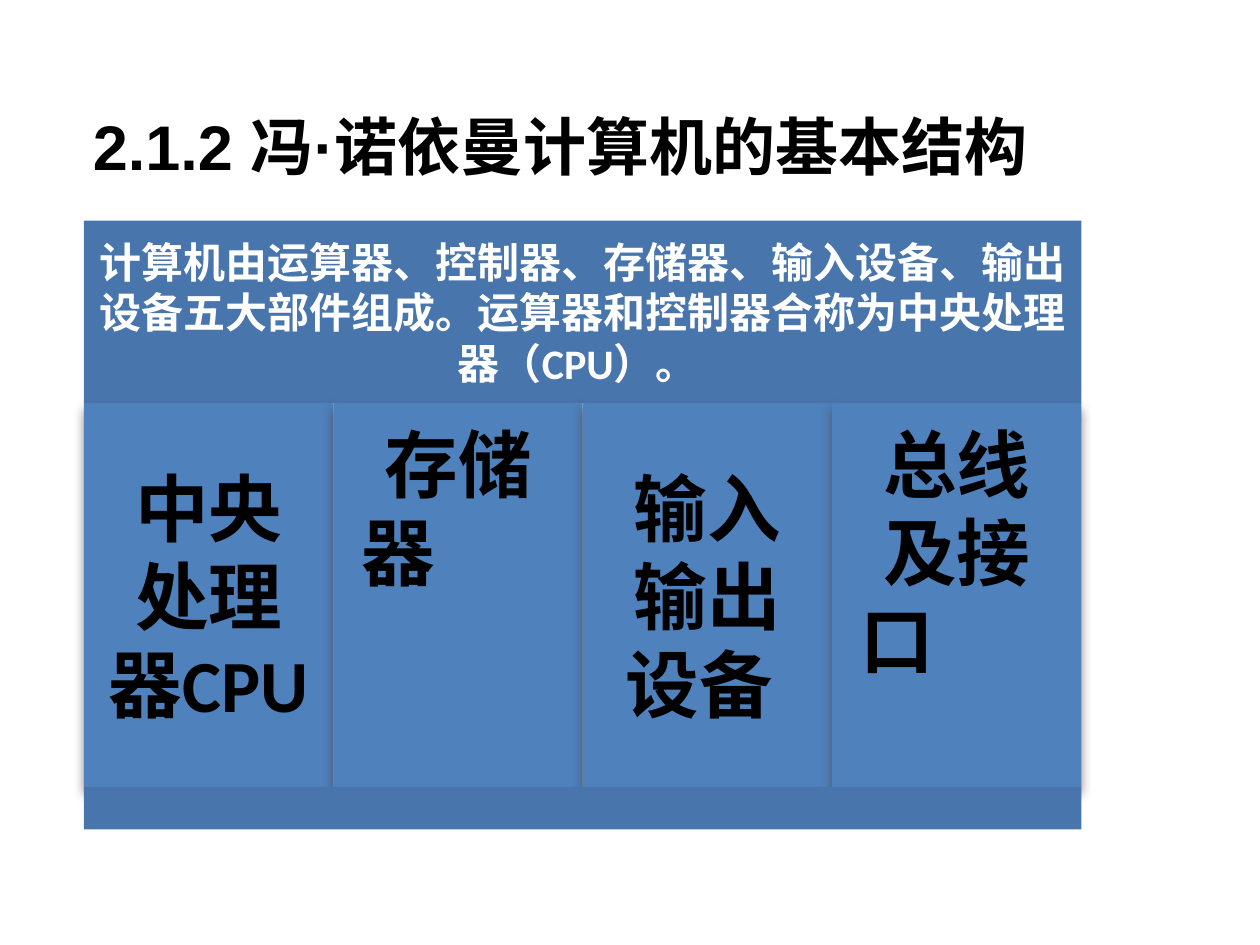
from lxml import etree
from pptx import Presentation
from pptx.dml.color import RGBColor
from pptx.enum.shapes import MSO_SHAPE
from pptx.enum.text import MSO_ANCHOR, PP_ALIGN
from pptx.oxml.ns import qn
from pptx.util import Pt

RECT = MSO_SHAPE.RECTANGLE
TOP, MIDDLE = MSO_ANCHOR.TOP, MSO_ANCHOR.MIDDLE
LEFT, CENTER = PP_ALIGN.LEFT, PP_ALIGN.CENTER

COLORS = {
    "band": "4875AC",
    "column": "4F81BD",
    "shadow": "4E3B30",
    "light": "FFFFFF",
    "dark": "000000",
}


class Deck:
    def __init__(self, prs):
        self.s = prs.slides.add_slide(prs.slide_layouts[6])

    def color(self, name):
        return RGBColor.from_string(COLORS[name])

    def font(self, p, name, size, color):
        p.font.name = name
        p.font.size = Pt(size)
        p.font.bold = True
        p.font.color.rgb = self.color(color)

    def margins(self, tf, sides, ends):
        tf.margin_left = tf.margin_right = Pt(sides)
        tf.margin_top = tf.margin_bottom = Pt(ends)

    def box(self, x, y, w, h, fill):
        sp = self.s.shapes.add_shape(RECT, Pt(x), Pt(y), Pt(w), Pt(h))
        sp.shadow.inherit = False
        sp.fill.solid()
        sp.fill.fore_color.rgb = self.color(fill)
        sp.line.fill.background()
        return sp

    def drop_shadow(self, sp):
        effects = sp._element.spPr.find(qn("a:effectLst"))
        shadow = etree.SubElement(effects, qn("a:outerShdw"), blurRad=str(Pt(6)),
                                  dist=str(Pt(4)), dir="5400000", rotWithShape="0")
        clr = etree.SubElement(shadow, qn("a:srgbClr"), val=COLORS["shadow"])
        etree.SubElement(clr, qn("a:alpha"), val="60000")

    def fill_text(self, sp, lines, size, color, inset, anchor=MIDDLE):
        tf = sp.text_frame
        tf.word_wrap = True
        tf.vertical_anchor = anchor
        self.margins(tf, inset, inset if anchor == MIDDLE else 9)
        for i, (text, align) in enumerate(lines):
            p = tf.paragraphs[0] if i == 0 else tf.add_paragraph()
            p.text = text
            p.alignment = align
            if align == LEFT:
                p._p.get_or_add_pPr().set("marL", str(Pt(4)))
            self.font(p, "Calibri", size, color)

    def title(self, x, y, w, h, text):
        sp = self.s.shapes.add_textbox(Pt(x), Pt(y), Pt(w), Pt(h))
        tf = sp.text_frame
        tf.word_wrap = True
        self.margins(tf, 7.2, 3.6)
        p = tf.paragraphs[0]
        p.text = text
        p.line_spacing = 0.8
        p._p.get_or_add_pPr().set("marL", str(Pt(10)))
        self.font(p, "Arial", 36, "dark")


def main():
    prs = Presentation()
    prs.slide_width, prs.slide_height = Pt(720), Pt(540)
    deck = Deck(prs)

    x, y, width = 48, 126, 570
    head_h, column_h, foot_h = 104.4, 219.2, 24.4
    head = deck.box(x, y, width, head_h, "band")
    deck.fill_text(head, [("计算机由运算器、控制器、存储器、输入设备、输出设备五大部件组成。"
                           "运算器和控制器合称为中央处理器（CPU）。 ", CENTER)], 24, "light", 7.2)

    columns = [
        ([("中央处理器CPU ", CENTER)], MIDDLE),
        ([("存储", CENTER), ("器", LEFT)], TOP),
        ([("输入输出设备 ", CENTER)], MIDDLE),
        ([("总线及接", CENTER), ("口", LEFT)], TOP),
    ]
    column_w = width / len(columns)
    for i, (lines, anchor) in enumerate(columns):
        sp = deck.box(x + i * column_w, y + head_h, column_w, column_h, "column")
        deck.drop_shadow(sp)
        deck.fill_text(sp, lines, 42, "dark", 12, anchor)

    deck.box(x, y + head_h + column_h, width, foot_h, "band")
    deck.title(36, 66, 636, 42.5, "2.1.2 冯·诺依曼计算机的基本结构")
    prs.save("out.pptx")


if __name__ == "__main__":
    main()
